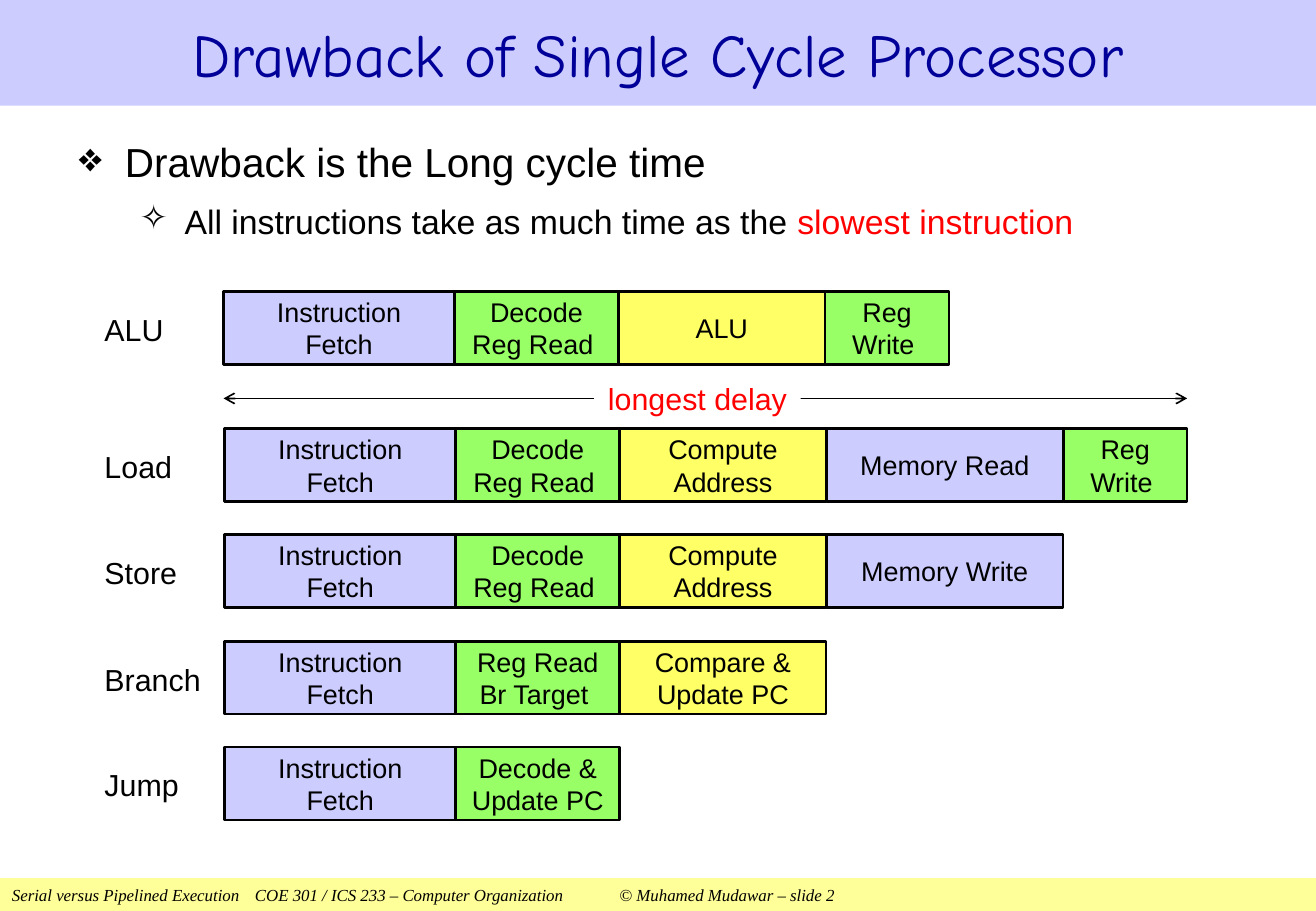
"""Build the slide on the drawback of a single cycle processor."""
from lxml import etree
from pptx import Presentation
from pptx.dml.color import RGBColor
from pptx.enum.shapes import MSO_CONNECTOR, MSO_SHAPE
from pptx.enum.text import MSO_ANCHOR, PP_ALIGN
from pptx.oxml.ns import qn
from pptx.util import Inches, Pt

RECTANGLE = MSO_SHAPE.RECTANGLE
STRAIGHT = MSO_CONNECTOR.STRAIGHT
LEFT, CENTER = PP_ALIGN.LEFT, PP_ALIGN.CENTER
TOP, MIDDLE = MSO_ANCHOR.TOP, MSO_ANCHOR.MIDDLE

BLACK, WHITE, RED, NAVY = "000000", "FFFFFF", "FF0000", "000099"
LAVENDER, GREEN, YELLOW, PALE_YELLOW = "CCCCFF", "99FF66", "FFFF66", "FFFF99"

WIDTH, HEIGHT = 10.83, 7.5
STAGE_HEIGHT = 0.6
LABEL_LEFT, LABEL_HEIGHT = 0.86, 0.4

STAGES = {
    "fetch": (1.9, LAVENDER),
    "decode": (1.35, GREEN),
    "execute": (1.7, YELLOW),
    "memory": (1.95, LAVENDER),
    "write": (1.02, GREEN),
}
FETCH = ("fetch", "Instruction\nFetch")
DECODE = ("decode", "Decode\nReg Read ")
ADDRESS = ("execute", "Compute\nAddress")
WRITE = ("write", "Reg\nWrite ")
INSTRUCTIONS = [
    ("ALU", 1.84, 2.4, [FETCH, DECODE, ("execute", "ALU"), WRITE]),
    ("Load", 1.85, 3.53, [FETCH, DECODE, ADDRESS, ("memory", "Memory Read"), WRITE]),
    ("Store", 1.85, 4.4, [FETCH, DECODE, ADDRESS, ("memory", "Memory Write")]),
    ("Branch", 1.85, 5.28, [FETCH, ("decode", "Reg Read\nBr Target "),
                            ("execute", "Compare &\nUpdate PC")]),
    ("Jump", 1.85, 6.15, [FETCH, ("decode", "Decode &\nUpdate PC")]),
]


def rgb(value):
    return RGBColor.from_string(value)


def add_run(paragraph, text, size=16, color=BLACK, font="Arial", italic=False):
    run = paragraph.add_run()
    run.text = text
    run.font.size = Pt(size)
    run.font.name = font
    run.font.italic = italic
    run.font.color.rgb = rgb(color)


def write(shape, text, align=LEFT, anchor=MIDDLE, inset=0, **style):
    frame = shape.text_frame
    frame.word_wrap = True
    frame.vertical_anchor = anchor
    frame.margin_left = frame.margin_right = Inches(inset)
    frame.margin_top = frame.margin_bottom = Inches(0.05)
    for index, line in enumerate(text.split("\n")):
        paragraph = frame.add_paragraph() if index else frame.paragraphs[0]
        paragraph.alignment = align
        add_run(paragraph, line, **style)


def set_bullet(paragraph, symbol, margin, hanging):
    properties = paragraph._p.get_or_add_pPr()
    properties.set("marL", str(Inches(margin)))
    properties.set("indent", str(-Inches(hanging)))
    etree.SubElement(properties, qn("a:buChar")).set("char", symbol)


def set_tabs(paragraph, positions):
    tabs = etree.SubElement(paragraph._p.get_or_add_pPr(), qn("a:tabLst"))
    for position in positions:
        tab = etree.SubElement(tabs, qn("a:tab"))
        tab.set("pos", str(Inches(position)))
        tab.set("algn", "l")


class SlideBuilder:
    def __init__(self, presentation):
        self.slide = presentation.slides.add_slide(presentation.slide_layouts[6])
        self.shapes = self.slide.shapes

    def box(self, left, top, width, height, text, fill, outline=None, **style):
        shape = self.shapes.add_shape(
            RECTANGLE, Inches(left), Inches(top), Inches(width), Inches(height))
        shape.shadow.inherit = False
        shape.fill.solid()
        shape.fill.fore_color.rgb = rgb(fill)
        if outline:
            shape.line.color.rgb = rgb(outline)
            shape.line.width = Pt(1.5)
        else:
            shape.line.fill.background()
        write(shape, text, **style)
        return shape

    def text(self, left, top, width, height, text, **style):
        shape = self.shapes.add_textbox(
            Inches(left), Inches(top), Inches(width), Inches(height))
        write(shape, text, **style)
        return shape

    def double_arrow(self, left, right, y):
        line = self.shapes.add_connector(
            STRAIGHT, Inches(left), Inches(y), Inches(right), Inches(y))
        line.line.color.rgb = rgb(BLACK)
        line.line.width = Pt(1)
        outline = line.line._get_or_add_ln()
        for end in ("a:headEnd", "a:tailEnd"):
            etree.SubElement(outline, qn(end)).set("type", "arrow")
        etree.SubElement(line._element.spPr, qn("a:effectLst"))

    def instruction(self, name, left, top, stages):
        self.text(LABEL_LEFT, top + (STAGE_HEIGHT - LABEL_HEIGHT) / 2 + 0.01,
                  left - LABEL_LEFT, LABEL_HEIGHT, name, size=18)
        for stage, text in stages:
            width, fill = STAGES[stage]
            self.box(left, top, width, STAGE_HEIGHT, text, fill, BLACK, align=CENTER)
            left += width


def main():
    presentation = Presentation()
    presentation.slide_width = Inches(WIDTH)
    presentation.slide_height = Inches(HEIGHT)
    builder = SlideBuilder(presentation)

    footer = builder.box(
        0, 7.23, WIDTH, 0.27,
        "Serial versus Pipelined Execution\tCOE 301 / ICS 233 – Computer Organization"
        "\t© Muhamed Mudawar – slide 2",
        PALE_YELLOW, inset=0.1, size=10, font="Times New Roman", italic=True)
    set_tabs(footer.text_frame.paragraphs[0], [2, 5])

    builder.box(0, 0, WIDTH, 0.87, "Drawback of Single Cycle Processor", LAVENDER,
                align=CENTER, size=36, color=NAVY, font="Comic Neue")

    body = builder.text(0.55, 1.08, 9.75, 1.02, "Drawback is the Long cycle time",
                        anchor=TOP, inset=0.1, size=24)
    drawback = body.text_frame.paragraphs[0]
    set_bullet(drawback, "❖", 0.38, 0.38)
    detail = body.text_frame.add_paragraph()
    detail.level = 1
    detail.space_before = Pt(9)
    set_bullet(detail, "✧", 0.87, 0.37)
    add_run(detail, "All instructions take as much time as the ", size=20)
    add_run(detail, "slowest instruction", size=20, color=RED)

    builder.double_arrow(1.84, 9.77, 3.28)
    builder.box(4.89, 3.16, 1.7, 0.24, "longest delay", WHITE,
                align=CENTER, size=18, color=RED)
    for instruction in INSTRUCTIONS:
        builder.instruction(*instruction)

    presentation.save("out.pptx")


if __name__ == "__main__":
    main()
